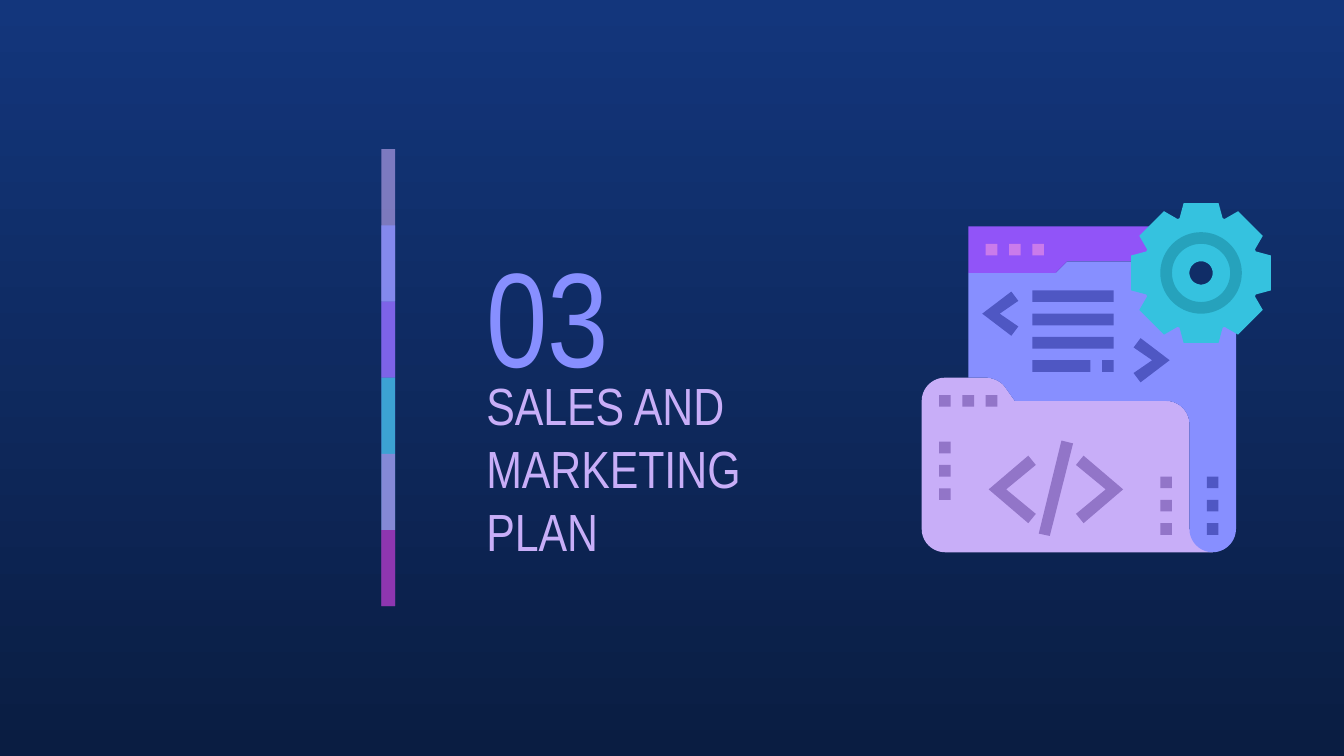
from math import cos, pi, sin

from lxml import etree
from pptx import Presentation
from pptx.dml.color import RGBColor
from pptx.enum.shapes import MSO_SHAPE
from pptx.enum.text import MSO_ANCHOR, MSO_AUTO_SIZE, PP_ALIGN
from pptx.oxml.ns import qn
from pptx.util import Cm, Pt

RECT = MSO_SHAPE.RECTANGLE
MIDDLE, LEFT, NO_FIT = MSO_ANCHOR.MIDDLE, PP_ALIGN.LEFT, MSO_AUTO_SIZE.NONE
FONT = "Arial Narrow"
COLORS = {
    "top": "13367C", "bottom": "0A1D42", "blue": "878FFF", "lilac": "C8AEF8",
    "violet": "9154F8", "cyan": "35C2DF", "teal": "26A2BC", "pink": "CA7BEB",
    "mauve": "9275C8", "indigo": "4F57C3", "purple": "972CB4",
}
NUMBER = ("03", 72, "blue", (8.94, 4.22, 4.45, 3.43))
TITLE = ("SALES AND MARKETING PLAN", 28, "lilac", (8.94, 7.62, 7.29, 2.44))

# Stripe colour and opacity in percent
STRIPES = [("lilac", 59), ("blue", 74), ("violet", 53),
           ("cyan", 76), ("pink", 56), ("purple", 74)]
STRIPE_X, STRIPE_Y, STRIPE_W, STRIPE_STEP = 7.21, 2.82, 0.26, 1.44

ICON_X, ICON_Y, UNIT = 17.42, 3.84, 0.22
FOLDER = [(2, 15), (0.9, 15, 0, 15.9, 0, 17), (0, 28), (0, 29.1, 0.9, 30, 2, 30),
          (25, 30), (23, 28), (23, 19), (23, 17.9, 22.1, 17, 21, 17), (8, 17),
          (7.15, 15.8), (6.8, 15.3, 6.1, 15, 5.5, 15)]
PAGE = [(12.5, 5), (11.5, 6), (4, 6), (4, 15), (5.5, 15),
        (6.1, 15, 6.8, 15.3, 7.15, 15.8), (8, 17), (21, 17),
        (22.1, 17, 23, 17.9, 23, 19), (23, 28), (23, 29.1, 23.9, 30, 25, 30),
        (26.1, 30, 27, 29.1, 27, 28), (27, 9), (20, 9), (20, 5)]
HEADER = [(4, 2), (4, 6), (11.5, 6), (12.5, 5), (20, 5), (19.5, 2)]
SLASH = [(12, 20.4), (10.05, 28.4), (11, 28.6), (13, 20.65)]
GEAR_CENTER = (24, 6)
TOOTH = [(4.7, -1.85), (6, -1.5), (6, 1.5), (4.7, 1.85)]
SMALL_CHEVRON = [(2.5, -1.9), (0, 0), (2.5, 1.9), (3.1, 1.1), (1.5, 0), (3.1, -1.1)]
BIG_CHEVRON = [(3.4, -2.9), (0, 0), (3.4, 2.9), (4.05, 2.1), (1.5, 0), (4.05, -2.1)]
CHEVRONS = [(SMALL_CHEVRON, 5.2, 9.5, 1, "indigo"), (SMALL_CHEVRON, 21.3, 13.5, -1, "indigo"),
            (BIG_CHEVRON, 5.75, 24.6, 1, "mauve"), (BIG_CHEVRON, 17.3, 24.6, -1, "mauve")]
DOT_ROWS = [("pink", 5.5, 3.5, 2, 0), ("mauve", 1.5, 16.5, 2, 0), ("mauve", 1.5, 20.5, 0, 2),
            ("mauve", 20.5, 23.5, 0, 2), ("indigo", 24.5, 23.5, 0, 2)]
CODE_LINES = [(9.5, 7.5, 7), (9.5, 9.5, 7), (9.5, 11.5, 7), (9.5, 13.5, 5), (15.5, 13.5, 1)]


def rgb(name):
    """Return the named colour."""
    return RGBColor.from_string(COLORS[name])


def paint(sp, color):
    """Give a shape a plain fill without line or shadow."""
    sp.shadow.inherit = False
    sp.fill.solid()
    sp.fill.fore_color.rgb = rgb(color)
    sp.line.fill.background()
    return sp


def add_rect(s, color, x, y, w, h):
    """Add a plain rectangle measured in centimetres."""
    return paint(s.shapes.add_shape(RECT, Cm(x), Cm(y), Cm(w), Cm(h)), color)


def add_block(s, color, x, y, w=1):
    """Add a one-unit-high block on the icon grid."""
    add_rect(s, color, ICON_X + x * UNIT, ICON_Y + y * UNIT, w * UNIT, UNIT)


def flatten(outline, steps=10):
    """Turn points and cubic curves into points."""
    points = []
    for item in outline:
        if len(item) == 2:
            points.append(item)
            continue
        knots = [points[-1], item[:2], item[2:4], item[4:]]
        for i in range(1, steps + 1):
            t = i / steps
            weights = ((1 - t) ** 3, 3 * t * (1 - t) ** 2, 3 * t * t * (1 - t), t ** 3)
            points.append(tuple(sum(w * k[a] for w, k in zip(weights, knots)) for a in (0, 1)))
    return points


def add_outline(s, color, *outlines):
    """Draw closed outlines on the icon grid as one shape."""
    builder = None
    for outline in outlines:
        points = [(Cm(ICON_X + x * UNIT), Cm(ICON_Y + y * UNIT)) for x, y in flatten(outline)]
        if builder is None:
            builder = s.shapes.build_freeform(*points[0])
        else:
            builder.move_to(*points[0])
        builder.add_line_segments(points[1:], close=True)
    return paint(builder.convert_to_shape(), color)


def circle(radius, count=72):
    """Return a circle around the gear centre."""
    cx, cy = GEAR_CENTER
    return [(cx + radius * cos(2 * pi * i / count), cy + radius * sin(2 * pi * i / count))
            for i in range(count)]


def gear():
    """Return the gear rim by turning one tooth eight times."""
    cx, cy = GEAR_CENTER
    return [(cx + x * cos(a) - y * sin(a), cy + x * sin(a) + y * cos(a))
            for a in (i * pi / 4 for i in range(8)) for x, y in TOOTH]


def write(sp, text, size, color, box):
    """Place a text shape and fill it with one run."""
    sp.left, sp.top, sp.width, sp.height = map(Cm, box)
    tf = sp.text_frame
    tf.word_wrap, tf.auto_size, tf.vertical_anchor = True, NO_FIT, MIDDLE
    tf.margin_left = tf.margin_right = tf.margin_top = tf.margin_bottom = Cm(0.25)
    p = tf.paragraphs[0]
    p.alignment = LEFT
    r = p.add_run()
    r.text = text
    r.font.name, r.font.size = FONT, Pt(size)
    r.font.color.rgb = rgb(color)


def add_stripes(s):
    """Stack the translucent stripes, each overlapping the next."""
    for i, (color, opacity) in enumerate(STRIPES):
        height = STRIPE_STEP * min(2, len(STRIPES) - i)
        sp = add_rect(s, color, STRIPE_X, STRIPE_Y + i * STRIPE_STEP, STRIPE_W, height)
        tone = sp.fill._xPr.find(qn("a:solidFill"))[0]
        etree.SubElement(tone, qn("a:alpha")).set("val", str(opacity * 1000))


def add_icon(s):
    """Draw the folder, code page and gear."""
    add_outline(s, "lilac", FOLDER)
    add_outline(s, "blue", PAGE)
    add_outline(s, "violet", HEADER)
    add_outline(s, "cyan", gear(), circle(1))
    add_outline(s, "teal", circle(3.5), circle(2.5))
    for color, x, y, dx, dy in DOT_ROWS:
        for i in range(3):
            add_block(s, color, x + i * dx, y + i * dy)
    for x, y, w in CODE_LINES:
        add_block(s, "indigo", x, y, w)
    for shape, x, y, side, color in CHEVRONS:
        add_outline(s, color, [(x + side * dx, y + dy) for dx, dy in shape])
    add_outline(s, "mauve", SLASH)


def main():
    """Build the section slide."""
    prs = Presentation()
    prs.slide_width, prs.slide_height = Cm(25.4), Cm(14.29)
    s = prs.slides.add_slide(prs.slide_layouts[5])
    fill = s.background.fill
    fill.gradient()
    fill.gradient_angle = 270
    for stop, color, position in zip(fill.gradient_stops, ("top", "bottom"), (0, 1)):
        stop.color.rgb, stop.position = rgb(color), position
    write(s.shapes.title, *TITLE)
    write(s.shapes.add_textbox(0, 0, 0, 0), *NUMBER)
    add_icon(s)
    add_stripes(s)
    prs.save("out.pptx")


if __name__ == "__main__":
    main()
